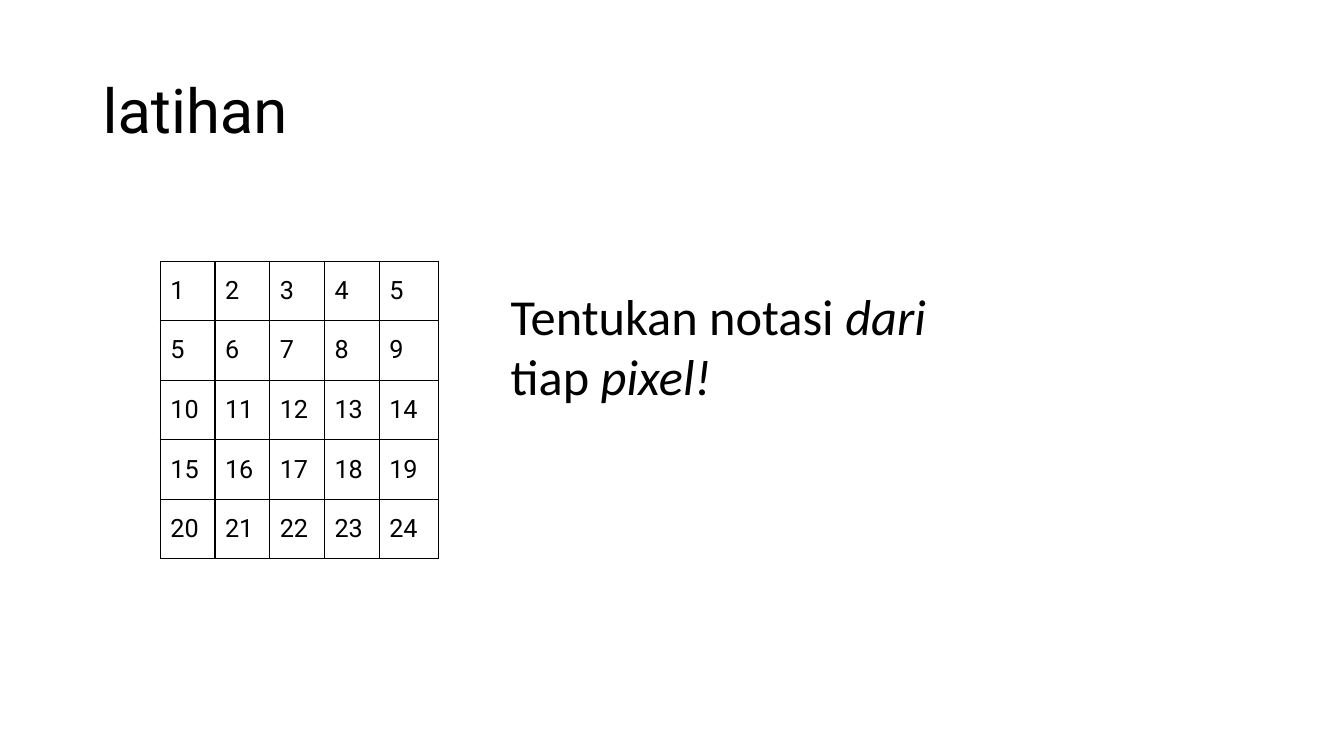
from lxml import etree
from pptx import Presentation
from pptx.dml.color import RGBColor
from pptx.enum.text import MSO_ANCHOR, MSO_AUTO_SIZE, PP_ALIGN
from pptx.oxml.ns import qn
from pptx.util import Cm, Pt

BLACK = RGBColor(0x00, 0x00, 0x00)
WHITE = RGBColor(0xFF, 0xFF, 0xFF)
MIDDLE = MSO_ANCHOR.MIDDLE
LEFT = PP_ALIGN.LEFT
GROW = MSO_AUTO_SIZE.SHAPE_TO_FIT_TEXT
TITLE_ONLY = 5
BORDERS = ("a:lnL", "a:lnR", "a:lnT", "a:lnB")

PIXELS = [range(1, 6)] + [range(start, start + 5) for start in range(5, 25, 5)]
TASK = [("Tentukan notasi ", False), ("dari ", True), ("tiap", False), (" pixel!", True)]


class SlideBuilder:
    heading_font = "Roboto"
    body_font = "Calibri"

    def __init__(self, presentation):
        self.slide = presentation.slides.add_slide(presentation.slide_layouts[TITLE_ONLY])

    def style(self, run, font_name, size, italic=False):
        run.font.name = font_name
        run.font.size = Pt(size)
        run.font.italic = italic
        run.font.color.rgb = BLACK

    def title(self, text, left, top, width, height):
        shape = self.slide.shapes.title
        shape.left, shape.top, shape.width, shape.height = left, top, width, height
        shape.text_frame.text = text
        shape.text_frame.vertical_anchor = MIDDLE
        paragraph = shape.text_frame.paragraphs[0]
        paragraph.alignment = LEFT
        paragraph.line_spacing = 0.9
        self.style(paragraph.runs[0], self.heading_font, 44)

    def border(self, cell):
        properties = cell._tc.get_or_add_tcPr()
        for index, tag in enumerate(BORDERS):
            line = etree.Element(qn(tag), w=str(Pt(1)))
            fill = etree.SubElement(line, qn("a:solidFill"))
            etree.SubElement(fill, qn("a:srgbClr"), val=str(BLACK))
            properties.insert(index, line)

    def table(self, rows, left, top, column_widths, row_height):
        shape = self.slide.shapes.add_table(
            len(rows), len(column_widths), left, top,
            sum(column_widths), row_height * len(rows))
        table = shape.table
        table.first_row = False
        table.horz_banding = False
        for column, width in zip(table.columns, column_widths):
            column.width = width
        for row, values in zip(table.rows, rows):
            row.height = row_height
            for cell, value in zip(row.cells, values):
                cell.text = str(value)
                cell.vertical_anchor = MIDDLE
                cell.fill.solid()
                cell.fill.fore_color.rgb = WHITE
                self.border(cell)
                self.style(cell.text_frame.paragraphs[0].runs[0], self.heading_font, 18)

    def text(self, parts, left, top, width, height):
        frame = self.slide.shapes.add_textbox(left, top, width, height).text_frame
        frame.word_wrap = True
        frame.auto_size = GROW
        for text, italic in parts:
            run = frame.paragraphs[0].add_run()
            run.text = text
            self.style(run, self.body_font, 36, italic)


def main():
    presentation = Presentation()
    presentation.slide_width = Cm(33.87)
    presentation.slide_height = Cm(19.05)
    builder = SlideBuilder(presentation)
    builder.title("latihan", Cm(2.33), Cm(1.01), Cm(29.21), Cm(3.68))
    builder.table(PIXELS, Cm(4.04), Cm(6.58), [Cm(1.38)] * 4 + [Cm(1.5)], Cm(1.5))
    builder.text(TASK, Cm(12.62), Cm(7.06), Cm(12.34), Cm(3.33))
    presentation.save("out.pptx")


if __name__ == "__main__":
    main()
